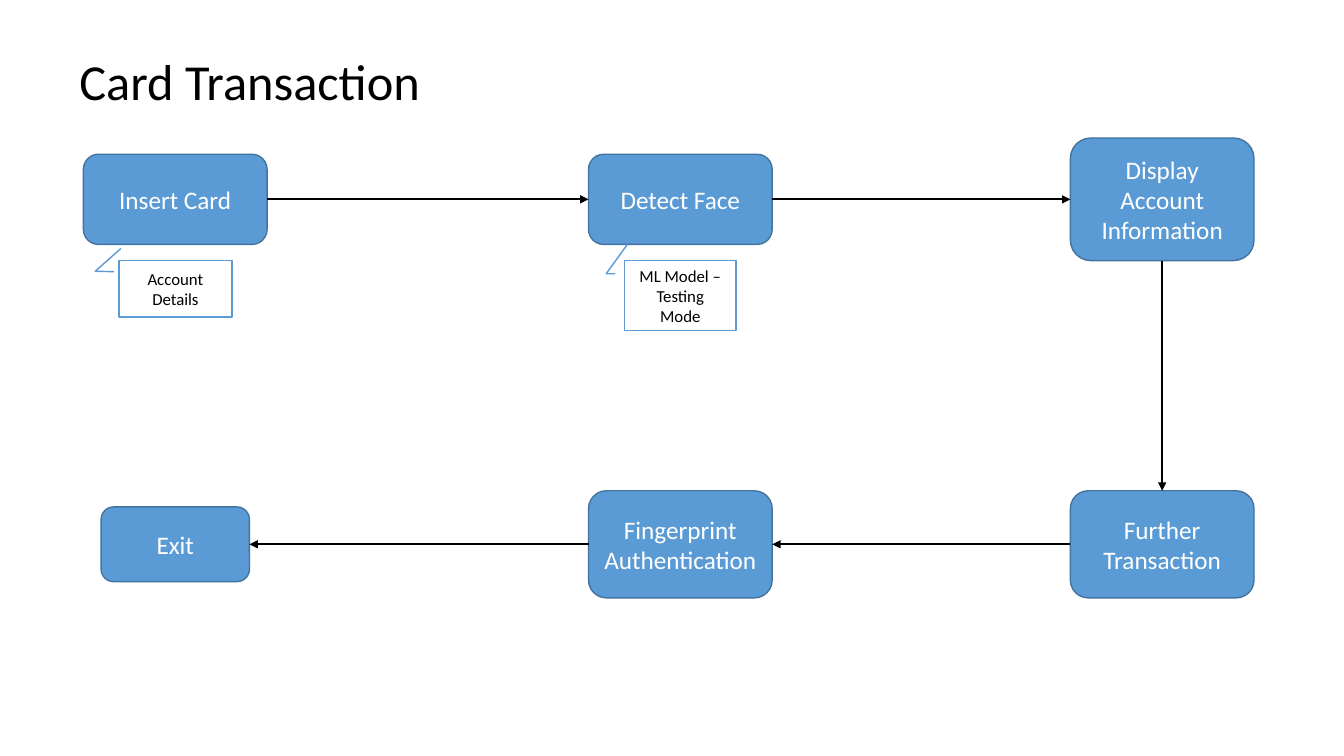
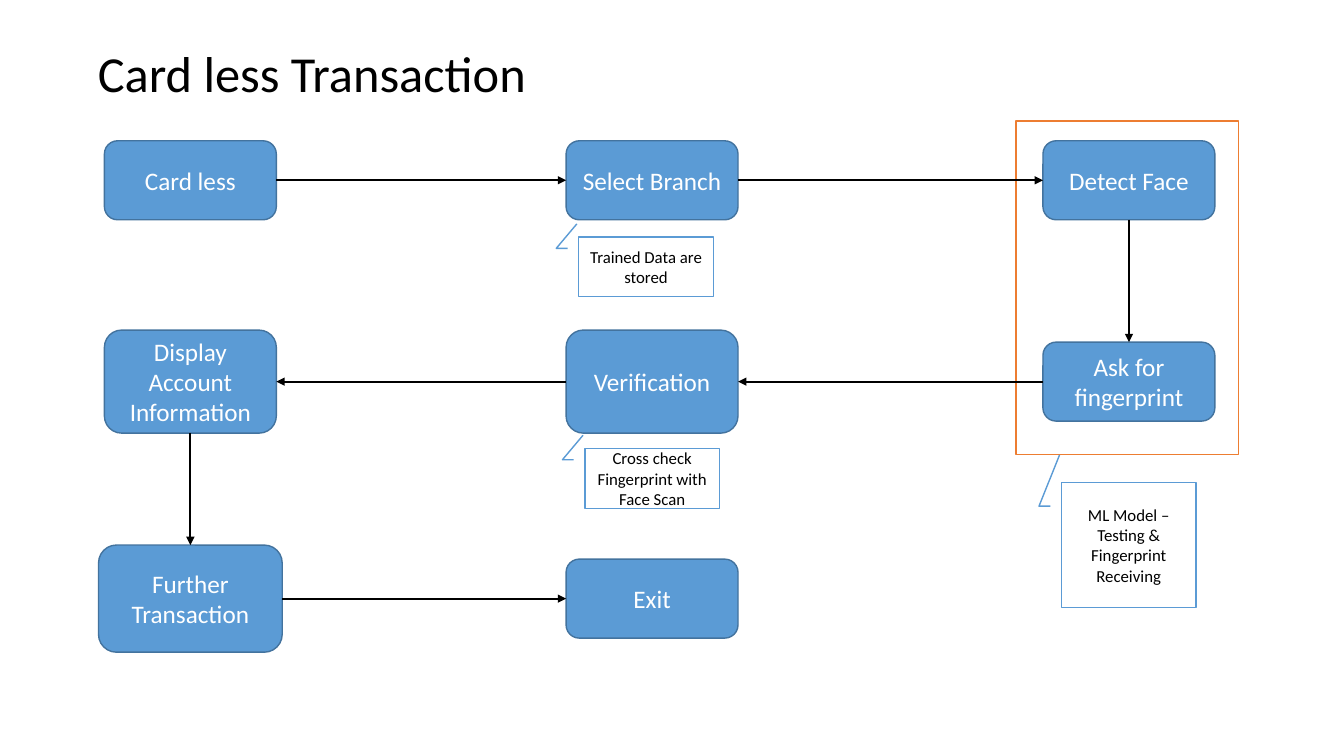
from dataclasses import dataclass

from pptx import Presentation
from pptx.dml.color import RGBColor
from pptx.enum.shapes import MSO_CONNECTOR, MSO_SHAPE
from pptx.enum.text import MSO_ANCHOR, MSO_AUTO_SIZE, PP_ALIGN
from pptx.oxml.ns import qn
from pptx.util import Pt
from lxml.etree import SubElement


@dataclass(frozen=True)
class Theme:
    font: str = "Calibri"
    title_size: float = 36
    step_size: float = 18
    note_size: float = 12
    outline: float = 1
    arrow_width: float = 1.5
    black: RGBColor = RGBColor(0x00, 0x00, 0x00)
    white: RGBColor = RGBColor(0xFF, 0xFF, 0xFF)
    blue: RGBColor = RGBColor(0x5B, 0x9B, 0xD5)
    dark_blue: RGBColor = RGBColor(0x43, 0x73, 0x9E)
    orange: RGBColor = RGBColor(0xED, 0x7D, 0x31)


@dataclass(frozen=True)
class Box:
    left: float
    top: float
    width: float
    height: float

    def lengths(self):
        return [Pt(v) for v in (self.left, self.top, self.width, self.height)]

    def below(self, indent, gap, width, height):
        """Box that hangs under this one, indented from its left edge."""
        return Box(self.left + indent, self.top + self.height + gap, width, height)


@dataclass(frozen=True)
class Step:
    text: str
    column: int
    row: int
    width: float
    height: float


THEME = Theme()
SLIDE = Box(0, 0, 960, 540)
POINTER = (0.188, -0.083, 0.188, -0.167, -0.223, -0.014)


def write(text_frame, text, size, color, align=PP_ALIGN.LEFT):
    for index, line in enumerate(text.split("\n")):
        paragraph = text_frame.paragraphs[0] if index == 0 else text_frame.add_paragraph()
        paragraph.alignment = align
        run = paragraph.add_run()
        run.text = line
        run.font.name = THEME.font
        run.font.size = Pt(size)
        run.font.color.rgb = color


def add_title(slide, box, text):
    frame = slide.shapes.add_textbox(*box.lengths()).text_frame
    frame.word_wrap = True
    frame.auto_size = MSO_AUTO_SIZE.SHAPE_TO_FIT_TEXT
    write(frame, text, THEME.title_size, THEME.black)


def add_panel(slide, preset, box, fill, outline):
    panel = slide.shapes.add_shape(preset, *box.lengths())
    panel.shadow.inherit = False
    panel.fill.solid()
    panel.fill.fore_color.rgb = fill
    panel.line.color.rgb = outline
    panel.line.width = Pt(THEME.outline)
    panel.text_frame.word_wrap = True
    panel.text_frame.vertical_anchor = MSO_ANCHOR.MIDDLE
    return panel


def add_arrow(slide, start, end, sides):
    arrow = slide.shapes.add_connector(MSO_CONNECTOR.STRAIGHT, 0, 0, 0, 0)
    arrow.begin_connect(start, sides[0])
    arrow.end_connect(end, sides[1])
    arrow.line.color.rgb = THEME.black
    arrow.line.width = Pt(THEME.arrow_width)
    properties = arrow._element.spPr
    SubElement(properties.find(qn("a:ln")), qn("a:tailEnd"), type="triangle")
    SubElement(properties, qn("a:effectLst"))


def add_note(slide, box, text, pointer=POINTER):
    note = add_panel(slide, MSO_SHAPE.LINE_CALLOUT_2, box, THEME.white, THEME.blue)
    for index, value in enumerate(pointer):
        note.adjustments[index] = value
    write(note.text_frame, text, THEME.note_size, THEME.black, PP_ALIGN.CENTER)


def arrow_sides(start, end):
    """Connection sites that face each other on two steps of the grid."""
    if start.row != end.row:
        return 2, 0
    return (3, 1) if start.column < end.column else (1, 3)


def add_flow(slide, box, columns, rows, steps):
    """Centre steps on the grid, join them in order and return their boxes."""
    boxes = [
        Box(
            box.left + columns[step.column] - step.width / 2,
            box.top + rows[step.row] - step.height / 2,
            step.width,
            step.height,
        )
        for step in steps
    ]
    panels = []
    for step, place in zip(steps, boxes):
        panel = add_panel(
            slide, MSO_SHAPE.ROUNDED_RECTANGLE, place, THEME.blue, THEME.dark_blue
        )
        write(panel.text_frame, step.text, THEME.step_size, THEME.white, PP_ALIGN.CENTER)
        panels.append(panel)
    for index in range(len(steps) - 1):
        sides = arrow_sides(steps[index], steps[index + 1])
        add_arrow(slide, panels[index], panels[index + 1], sides)
    return boxes


def build_card_slide(slide, box):
    add_title(slide, Box(box.left + 49.6, box.top + 32.2, 282, 50.9), "Card Transaction")
    width = 131.2
    steps = [
        Step("Insert Card", 0, 0, width, 64.4),
        Step("Detect Face", 1, 0, width, 64.4),
        Step("Display Account Information", 2, 0, width, 87.6),
        Step("Further Transaction", 2, 1, width, 76.5),
        Step("Fingerprint\nAuthentication", 1, 1, width, 76.5),
        Step("Exit", 0, 1, 106, 53.4),
    ]
    insert_card, detect_face, *_ = add_flow(
        slide, box, (125.2, 486, 830.2), (142.4, 388.8), steps
    )
    add_note(
        slide,
        insert_card.below(25.4, 11.6, 80.6, 40.3),
        "Account Details",
        (0.196, -0.045, 0.188, -0.211, -0.214, 0.016),
    )
    add_note(
        slide,
        detect_face.below(25.8, 11.6, 79.4, 50),
        "ML Model – Testing Mode",
        (0.188, -0.083, 0.188, -0.167, -0.234, 0.025),
    )


def build_cardless_slide(slide, box):
    biometrics = Box(box.left + 725.6, box.top + 86.4, 159.2, 238.2)
    add_panel(slide, MSO_SHAPE.RECTANGLE, biometrics, THEME.white, THEME.orange)
    add_title(slide, Box(box.left + 62.8, box.top + 26.3, 326, 50.9), "Card less Transaction")
    width, low, high = 122.8, 56.4, 73.6
    steps = [
        Step("Card less", 0, 0, width, low),
        Step("Select Branch", 1, 0, width, low),
        Step("Detect Face", 2, 0, width, low),
        Step("Ask for fingerprint", 2, 1, width, low),
        Step("Verification", 1, 1, width, high),
        Step("Display Account\nInformation", 0, 1, width, high),
        Step("Further Transaction", 0, 2, 131.2, 76.5),
        Step("Exit", 1, 2, width, low),
    ]
    places = add_flow(slide, box, (136, 465.8, 806.4), (128.8, 272.6, 427.6), steps)
    select_branch, verification = places[1], places[4]
    note_width, note_height = 96.2, 42.6
    add_note(
        slide,
        select_branch.below(9, 12.4, note_width, note_height),
        "Trained Data are stored",
    )
    add_note(
        slide,
        biometrics.below(32.6, 20.2, note_width, 89.2),
        "ML Model – Testing & Fingerprint Receiving",
    )
    add_note(
        slide,
        verification.below(13.4, 11, note_width, note_height),
        "Cross check Fingerprint with Face Scan",
    )


def main():
    deck = Presentation()
    deck.slide_width, deck.slide_height = Pt(SLIDE.width), Pt(SLIDE.height)
    blank = deck.slide_layouts[6]
    for build in (build_card_slide, build_cardless_slide):
        build(deck.slides.add_slide(blank), SLIDE)
    deck.save("out.pptx")


if __name__ == "__main__":
    main()
